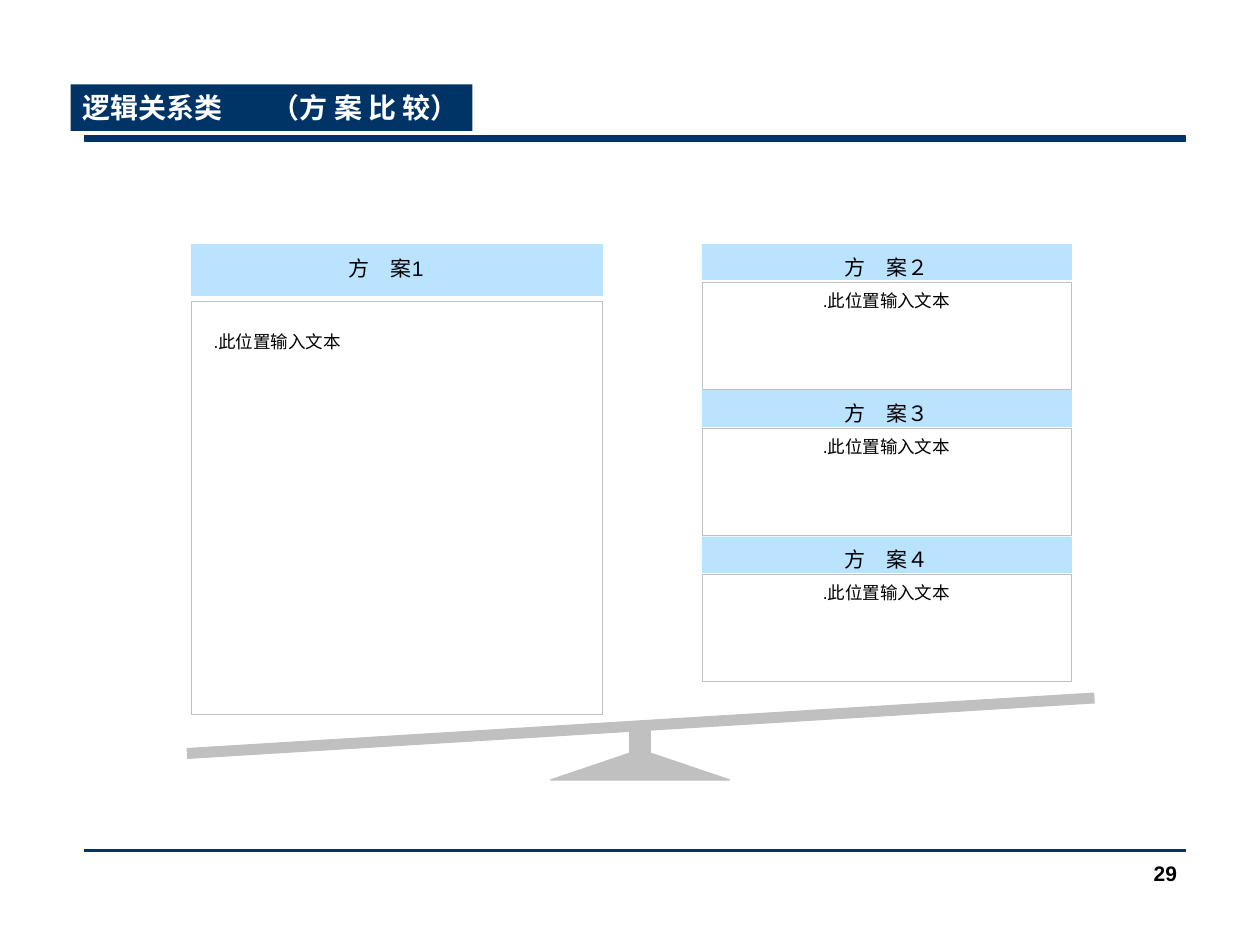
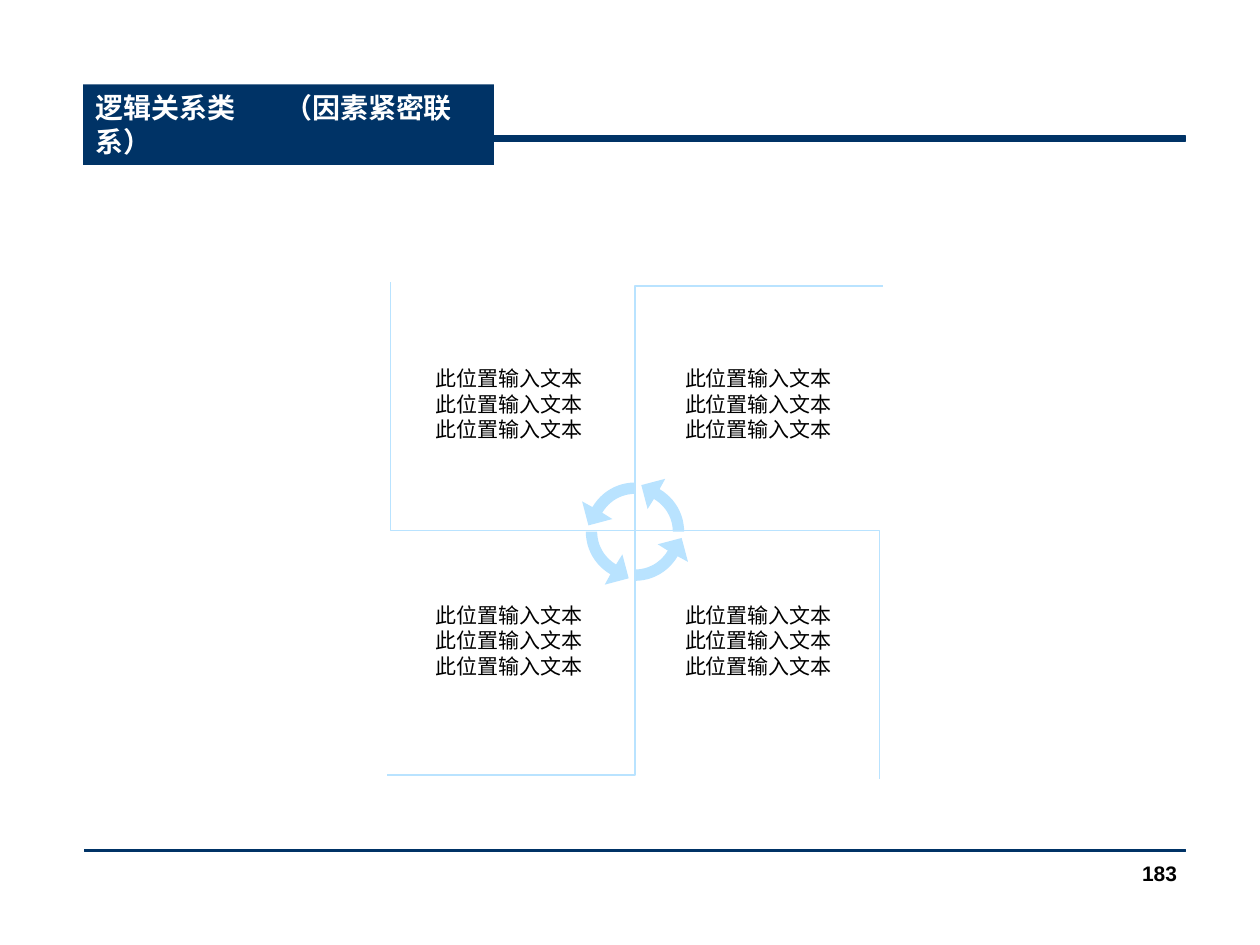
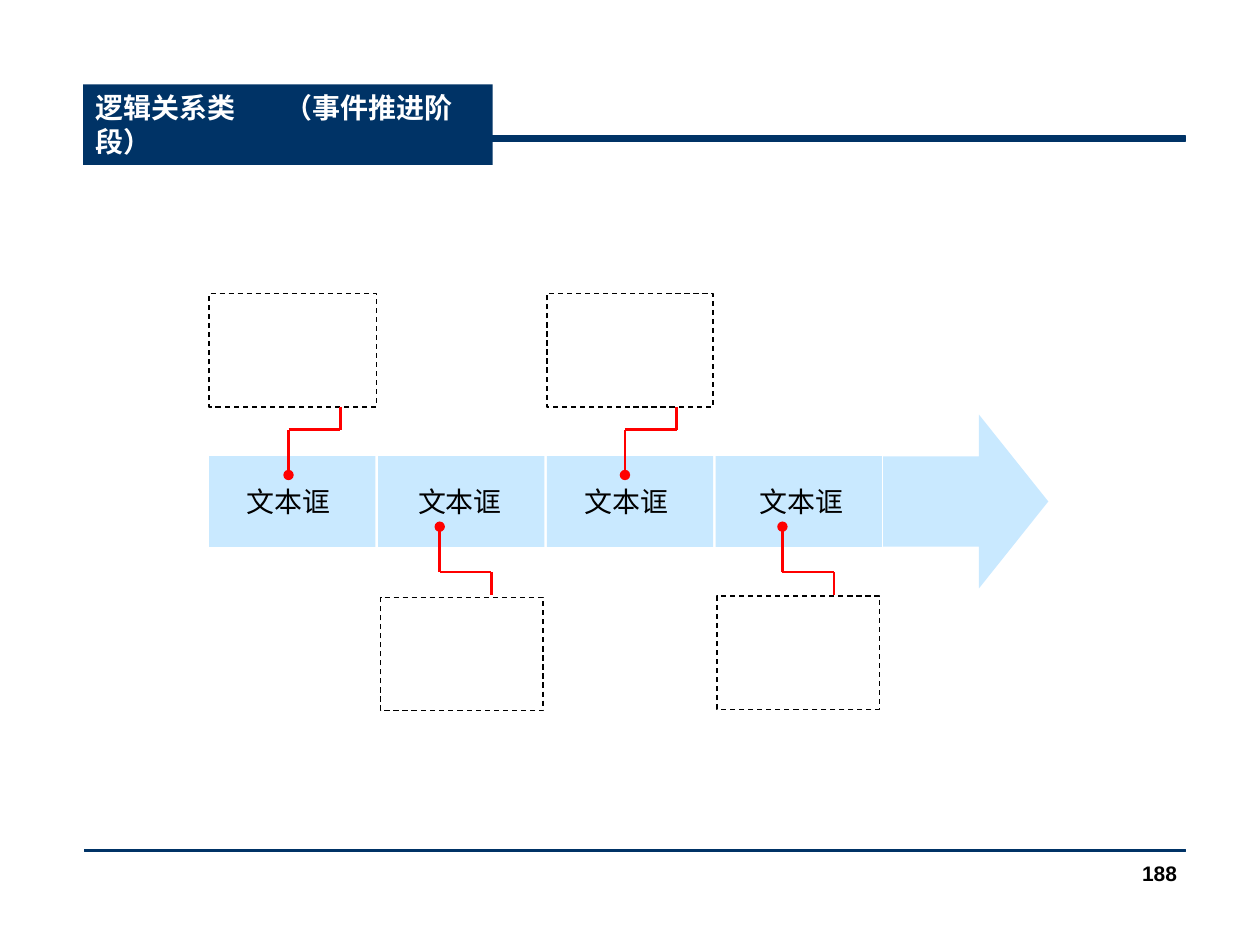
from math import cos, radians, sin
from typing import NamedTuple

from pptx import Presentation
from pptx.dml.color import RGBColor
from pptx.enum.dml import MSO_LINE
from pptx.enum.shapes import MSO_CONNECTOR, MSO_SHAPE as Preset
from pptx.enum.text import MSO_ANCHOR as Anchor, PP_ALIGN as Align
from pptx.oxml.ns import qn
from pptx.util import Inches, Pt
from lxml.etree import SubElement

NAVY, SKY, PALE = "003366", "B9E3FF", "C9E9FF"
GREY, WHITE, BLACK, RED = "C0C0C0", "FFFFFF", "000000", "FF0000"
FONT = "Arial"
PLACEHOLDER = "此位置输入文本"


class Area(NamedTuple):
    left: float
    top: float
    width: float
    height: float

    def lengths(self) -> list:
        return [Inches(value) for value in self]


class Style(NamedTuple):
    size: float
    colour: str = BLACK
    bold: bool = False
    align: Align = Align.LEFT
    anchor: Anchor = Anchor.TOP
    wrap: bool = True
    line_spacing: float | None = None
    space_before: float = 0


class Title(NamedTuple):
    category: str
    topic: str
    area: Area


class Option(NamedTuple):
    name: str
    top: float


class Stage(NamedTuple):
    label_left: float
    callout: Area
    pin_left: float
    callout_edge: float
    elbow: float
    pin_end: float


TITLE = Style(16, WHITE, bold=True)
PAGE_NUMBER = Style(12, bold=True, align=Align.RIGHT)
OPTION_NAME = Style(12, align=Align.CENTER)
OPTION_TEXT = Style(10, align=Align.CENTER, wrap=False)
FACTOR = Style(12, align=Align.CENTER, anchor=Anchor.MIDDLE, wrap=False,
               line_spacing=0.5, space_before=7.5)
STAGE_LABEL = Style(16, align=Align.CENTER)


# Drawing helpers
def colour_of(value: str) -> RGBColor:
    return RGBColor.from_string(value)


def paint(shape, fill: str | None, line: str | None = None, width: float = 0.25):
    shape.shadow.inherit = False
    if fill:
        shape.fill.solid()
        shape.fill.fore_color.rgb = colour_of(fill)
    else:
        shape.fill.background()
    if line:
        shape.line.color.rgb = colour_of(line)
        shape.line.width = Pt(width)
    else:
        shape.line.fill.background()
    return shape


def add_block(page, area: Area, fill: str | None, line: str | None = None,
              width: float = 0.25, preset: Preset = Preset.RECTANGLE):
    return paint(page.shapes.add_shape(preset, *area.lengths()), fill, line, width)


def write(shape, text: str, style: Style) -> None:
    frame = shape.text_frame
    frame.word_wrap = style.wrap
    frame.vertical_anchor = style.anchor
    frame.text = text
    for index, para in enumerate(frame.paragraphs):
        para.alignment = style.align
        para.line_spacing = style.line_spacing
        if index and style.space_before:
            para.space_before = Pt(style.space_before)
        for span in para.runs:
            span.font.name = FONT
            span.font.size = Pt(style.size)
            span.font.bold = style.bold
            span.font.color.rgb = colour_of(style.colour)


def add_text(page, area: Area, text: str, style: Style) -> None:
    write(page.shapes.add_textbox(*area.lengths()), text, style)


def add_outline(page, points: list, closed: bool):
    start, *rest = [(Inches(x), Inches(y)) for x, y in points]
    builder = page.shapes.build_freeform(*start)
    builder.add_line_segments(rest, close=closed)
    return builder.convert_to_shape()


def add_line(page, start: tuple, end: tuple, dot: bool = False) -> None:
    ends = [Inches(value) for value in (*start, *end)]
    line = page.shapes.add_connector(MSO_CONNECTOR.STRAIGHT, *ends)
    line.line.color.rgb = colour_of(RED)
    line.line.width = Pt(1.5)
    properties = line.element.spPr
    if dot:
        SubElement(properties.find(qn("a:ln")), qn("a:tailEnd"), type="oval")
    SubElement(properties, qn("a:effectLst"))


# Shared frame: rules, title band, page number
def add_page(deck, title: Title, number: int):
    page = deck.slides.add_slide(deck.slide_layouts[6])
    for top, height in ((1.08, 0.04), (6.74, 0.02)):
        add_block(page, Area(0.67, top, 8.74, height), NAVY, NAVY, 0)
    band = add_block(page, title.area, NAVY)
    band.text_frame.margin_right = 0
    para = band.text_frame.paragraphs[0]
    tabs = SubElement(para._p.get_or_add_pPr(), qn("a:tabLst"))
    SubElement(tabs, qn("a:tab"), pos=str(Inches(1.23)), algn="l")
    write(band, f"{title.category}\t{title.topic}", TITLE)
    add_text(page, Area(7.36, 6.78, 2.08, 0.5), str(number), PAGE_NUMBER)
    return page


# Options weighed on a seesaw
def add_comparison(deck) -> None:
    title = Title("逻辑关系类", "（方 案 比 较）", Area(0.56, 0.67, 3.19, 0.37))
    page = add_page(deck, title, 29)
    add_block(page, Area(5, 5.8, 0.16, 0.24), GREY, GREY, 0.75)
    add_block(page, Area(4.37, 5.95, 1.42, 0.24), GREY, GREY, 0.75,
              Preset.ISOSCELES_TRIANGLE)
    beam = add_block(page, Area(1.48, 5.72, 7.21, 0.08), GREY, GREY, 0.5)
    beam.rotation = -3.5

    add_block(page, Area(1.52, 2.39, 3.26, 3.28), WHITE, GREY)
    add_block(page, Area(1.52, 1.94, 3.26, 0.4), SKY, SKY)
    add_text(page, Area(2.67, 1.98, 1, 0.3), "方　案1",
             OPTION_NAME._replace(align=Align.LEFT))
    add_text(page, Area(1.58, 2.58, 1.24, 0.27), f".{PLACEHOLDER}", OPTION_TEXT)

    left, width = 5.57, 2.93
    for option in (Option("方　案２", 1.94), Option("方　案３", 3.1),
                   Option("方　案４", 4.26)):
        top = option.top
        add_block(page, Area(left, top + 0.3, width, 0.85), WHITE, GREY)
        add_block(page, Area(left, top, width, 0.28), SKY, SKY)
        add_text(page, Area(left, top + 0.31, width, 0.27), f".{PLACEHOLDER}",
                 OPTION_TEXT)
        add_text(page, Area(left, top + 0.03, width, 0.3), option.name, OPTION_NAME)


# Four linked factors around a ring of arrows
def arc(radius: float, first: int, last: int, step: int) -> list:
    return [(radius * cos(radians(angle)), radius * sin(radians(angle)))
            for angle in range(first, last + step, step)]


def quarter_turns(points: list, turns: int, centre: tuple) -> list:
    for _ in range(turns):
        points = [(y, -x) for x, y in points]
    return [(centre[0] + x, centre[1] + y) for x, y in points]


def add_factors(deck) -> None:
    title = Title("逻辑关系类", "（因素紧密联系）", Area(0.66, 0.67, 3.26, 0.64))
    page = add_page(deck, title, 183)
    bracket = [(0, 0), (-1.94, 0), (-1.94, -1.97)]
    head = [(-0.42, -0.24), (-0.37, -0.05), (-0.18, -0.1)]
    arrow = arc(0.3, 210, 270, 5) + arc(0.39, 270, 210, -5) + head
    for turns in range(4):
        paint(add_outline(page, quarter_turns(bracket, turns, (5.04, 4.21)), False),
              None, SKY, 1)
        paint(add_outline(page, quarter_turns(arrow, turns, (5.04, 4.22)), True), SKY)
    for top in (2.38, 4.26):
        for left in (3.12, 5.1):
            add_text(page, Area(left, top, 1.84, 1.72),
                     "\n".join([PLACEHOLDER] * 3), FACTOR)


# Stages along an arrow, each with a callout
def add_stages(deck) -> None:
    title = Title("逻辑关系类", "（事件推进阶段）", Area(0.66, 0.67, 3.25, 0.64))
    page = add_page(deck, title, 188)
    above, below = (3.23, 3.41, 3.77), (4.72, 4.54, 4.18)
    stages = [
        Stage(1.78, Area(1.66, 2.33, 1.33, 0.9), 2.29, *above),
        Stage(3.14, Area(3.02, 4.74, 1.29, 0.9), 3.49, *below),
        Stage(4.46, Area(4.34, 2.33, 1.32, 0.9), 4.96, *above),
        Stage(5.85, Area(5.69, 4.73, 1.29, 0.9), 6.21, *below),
    ]
    tip = add_block(page, Area(7.01, 3.29, 1.31, 1.38), PALE, preset=Preset.RIGHT_ARROW)
    tip.adjustments[0], tip.adjustments[1] = 0.52, 0.42
    for index, stage in enumerate(stages):
        add_block(page, Area(1.66 + 1.34 * index, 3.62, 1.32, 0.72), PALE)
        callout = add_block(page, stage.callout, None, BLACK, 0.75)
        callout.line.dash_style = MSO_LINE.DASH
        add_text(page, Area(stage.label_left, 3.8, 1.02, 0.37), "文本诓", STAGE_LABEL)
        near, far = stage.pin_left, stage.pin_left + 0.41
        add_line(page, (far, stage.callout_edge), (far, stage.elbow))
        add_line(page, (near, stage.elbow), (far, stage.elbow))
        add_line(page, (near, stage.elbow), (near, stage.pin_end), dot=True)


def main() -> None:
    deck = Presentation()
    deck.slide_width, deck.slide_height = Inches(10), Inches(7.5)
    add_comparison(deck)
    add_factors(deck)
    add_stages(deck)
    deck.save("out.pptx")


if __name__ == "__main__":
    main()
